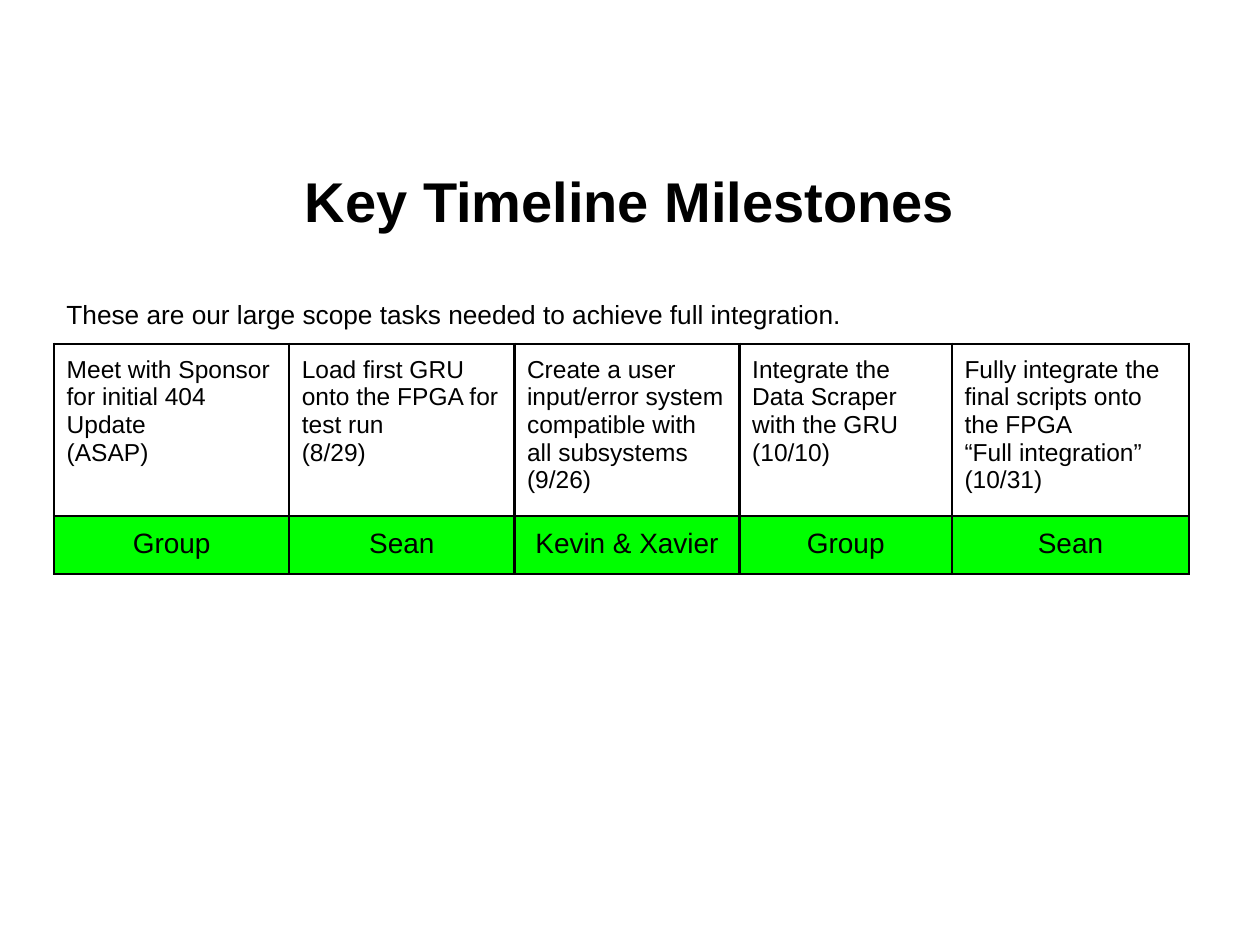
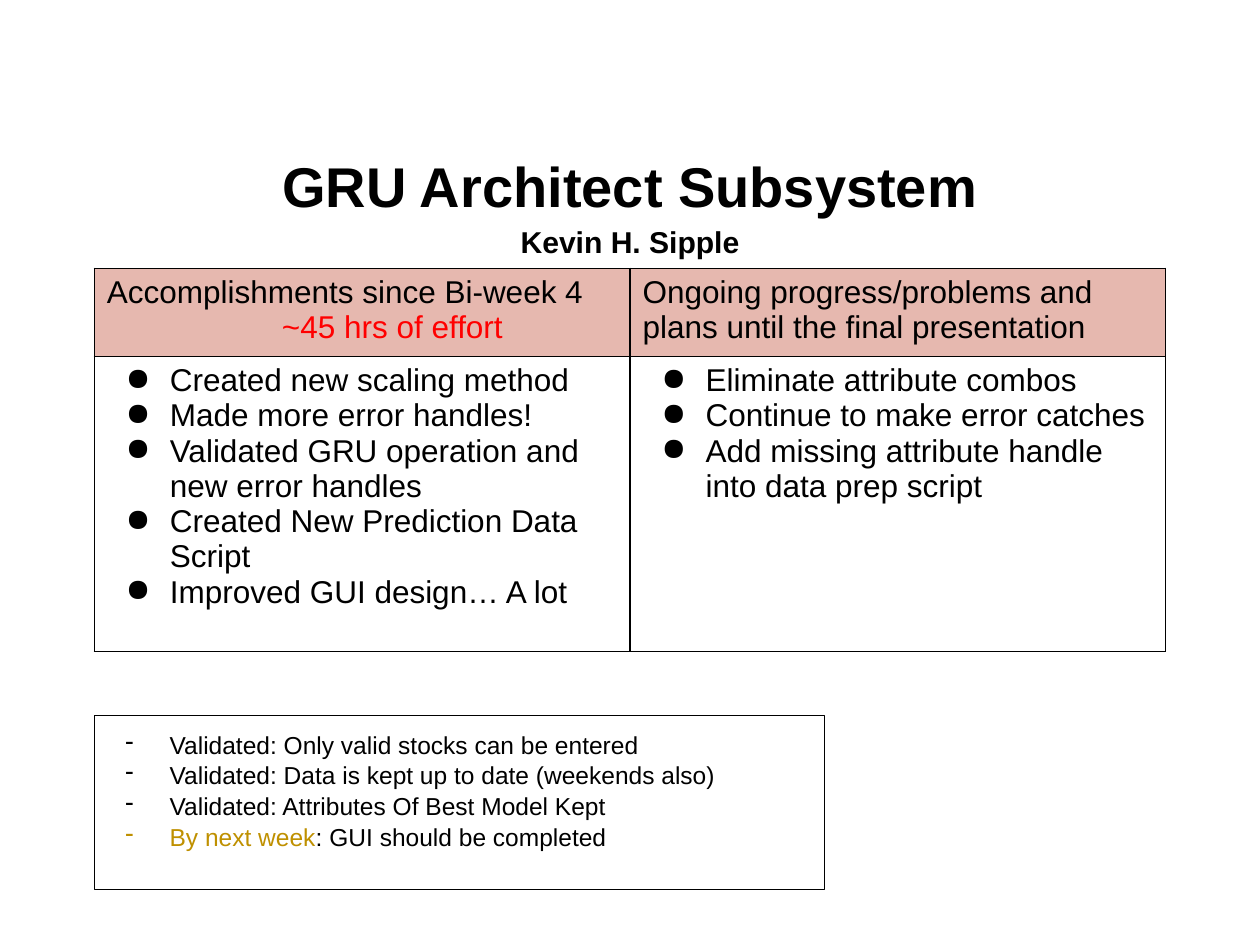
"""Build two project status slides: milestones and a subsystem report."""
from dataclasses import dataclass
from lxml.etree import SubElement as Sub
from pptx import Presentation
from pptx.dml.color import RGBColor as Rgb
from pptx.enum.shapes import MSO_SHAPE as Shape
from pptx.enum.text import MSO_ANCHOR as Anchor, PP_ALIGN as Align
from pptx.oxml.ns import qn
from pptx.util import Cm, Pt


@dataclass(frozen=True)
class Theme:
    font: str = "Arial"
    black: Rgb = Rgb(0, 0, 0)
    white: Rgb = Rgb(255, 255, 255)
    green: Rgb = Rgb(0, 255, 0)
    pink: Rgb = Rgb(0xE6, 0xB8, 0xAF)
    red: Rgb = Rgb(255, 0, 0)
    gold: Rgb = Rgb(0xBF, 0x90, 0)
    title: float = 32
    name: float = 17.2
    lead: float = 15
    task: float = 14
    owner: float = 16
    body: float = 18


T = Theme()


def write(frame, lines, size, align=Align.LEFT, bullet=None, pad=0.25):
    frame.word_wrap = True
    frame.margin_left = frame.margin_right = Cm(0.25)
    frame.margin_top = frame.margin_bottom = Cm(pad)
    for i, line in enumerate(lines):
        para = frame.paragraphs[0] if i == 0 else frame.add_paragraph()
        para.alignment = align
        font = para.font
        font.name, font.size, font.color.rgb = T.font, Pt(size), T.black
        for text, color in [(line, None)] if isinstance(line, str) else line:
            run = para.add_run()
            run.text = text
            if color is not None:
                run.font.color.rgb = color
        if bullet:
            props = para._p.get_or_add_pPr()
            props.set("marL", str(Cm(1.27)))
            props.set("indent", str(-Cm(0.89)))
            mark = props.makeelement(qn("a:buChar"), {"char": bullet})
            props.insert_element_before(mark, "a:tabLst", "a:defRPr", "a:extLst")


def grid(slide, left, top, cols, rows, fills, line):
    frame = slide.shapes.add_table(
        len(rows), len(cols), Cm(left), Cm(top), Cm(sum(cols)), Cm(sum(rows)))
    table = frame.table
    table.first_row = table.horz_banding = False
    for col, width in zip(table.columns, cols):
        col.width = Cm(width)
    for row, height, fill in zip(table.rows, rows, fills):
        row.height = Cm(height)
        for cell in row.cells:
            props = cell._tc.get_or_add_tcPr()
            for side in "LRTB":
                edge = Sub(props, qn(f"a:ln{side}"), w=str(Pt(line)))
                paint = Sub(edge, qn("a:solidFill"))
                Sub(paint, qn("a:srgbClr"), val=str(T.black))
            cell.fill.solid()
            cell.fill.fore_color.rgb = fill
    return table


deck = Presentation()
deck.slide_width, deck.slide_height = Cm(25.4), Cm(19.05)
slides = []
for lines in (["Key Timeline Milestones"],
              ["GRU Architect Subsystem", "Kevin H. Sipple"]):
    slide = deck.slides.add_slide(deck.slide_layouts[6])
    box = slide.shapes.add_textbox(Cm(1.27), Cm(2.92), Cm(22.86), Cm(2.24))
    frame = box.text_frame
    write(frame, lines, T.title, Align.CENTER, pad=0.13)
    frame.vertical_anchor = Anchor.MIDDLE
    for para in frame.paragraphs:
        para.font.bold = True
        if len(lines) > 1:
            para.line_spacing = 1.15
    slides.append(slide)
frame.paragraphs[1].font.size = Pt(T.name)
plan, report = slides

lead = plan.shapes.add_textbox(Cm(1.09), Cm(5.89), Cm(22.86), Cm(0.9))
write(lead.text_frame,
      ["These are our large scope tasks needed to achieve full integration."],
      T.lead, pad=0.13)

tasks = [
    (["Meet with Sponsor for initial 404 Update", "(ASAP)"], "Group"),
    (["Load first GRU onto the FPGA for test run", "(8/29)"], "Sean"),
    (["Create a user input/error system compatible with all subsystems",
      "(9/26)"], "Kevin & Xavier"),
    (["Integrate the Data Scraper with the GRU", "(10/10)"], "Group"),
    (["Fully integrate the final scripts onto the FPGA",
      "“Full integration”", "(10/31)"], "Sean"),
]
table = grid(plan, 1.09, 6.93, [4.74, 4.54, 4.54, 4.28, 4.78],
             [3.28, 1.14], [T.white, T.green], 1.5)
for col, (task, owner) in enumerate(tasks):
    for row, lines, size, align in ((0, task, T.task, Align.LEFT),
                                    (1, [owner], T.owner, Align.CENTER)):
        cell = table.cell(row, col)
        write(cell.text_frame, lines, size, align)
        cell.margin_top = cell.margin_bottom = Cm(0.25)

parts = [
    (["Accomplishments since Bi-week 4", [("~45 hrs of effort", T.red)]],
     ["Created new scaling method",
      "Made more error handles!",
      "Validated GRU operation and new error handles",
      "Created New Prediction Data Script",
      "Improved GUI design… A lot"]),
    (["Ongoing progress/problems and plans until the final presentation"],
     ["Eliminate attribute combos",
      "Continue to make error catches",
      "Add missing attribute handle into data prep script"]),
]
table = grid(report, 1.9, 5.41, [10.8, 10.8], [1.78, 5.94],
             [T.pink, T.white], 1)
for col, (head, items) in enumerate(parts):
    write(table.cell(0, col).text_frame, head, T.body, pad=0.13)
    write(table.cell(1, col).text_frame, items, T.body, bullet="●", pad=0.13)
hours = table.cell(0, 0).text_frame.paragraphs[1]
hours._p.get_or_add_pPr().set("marL", str(Cm(3.53)))

checks = report.shapes.add_shape(
    Shape.RECTANGLE, Cm(1.9), Cm(14.43), Cm(14.73), Cm(3.5))
checks.shadow.inherit = False
checks.fill.background()
checks.line.color.rgb, checks.line.width = T.black, Pt(0.75)
write(checks.text_frame,
      ["Validated: Only valid stocks can be entered",
       "Validated: Data is kept up to date (weekends also)",
       "Validated: Attributes Of Best Model Kept",
       [("By next week", T.gold), (": GUI should be completed", None)]],
      T.task, bullet="-")
checks.text_frame.vertical_anchor = Anchor.TOP
for para in checks.text_frame.paragraphs:
    para.line_spacing = 1.05

deck.save("out.pptx")
